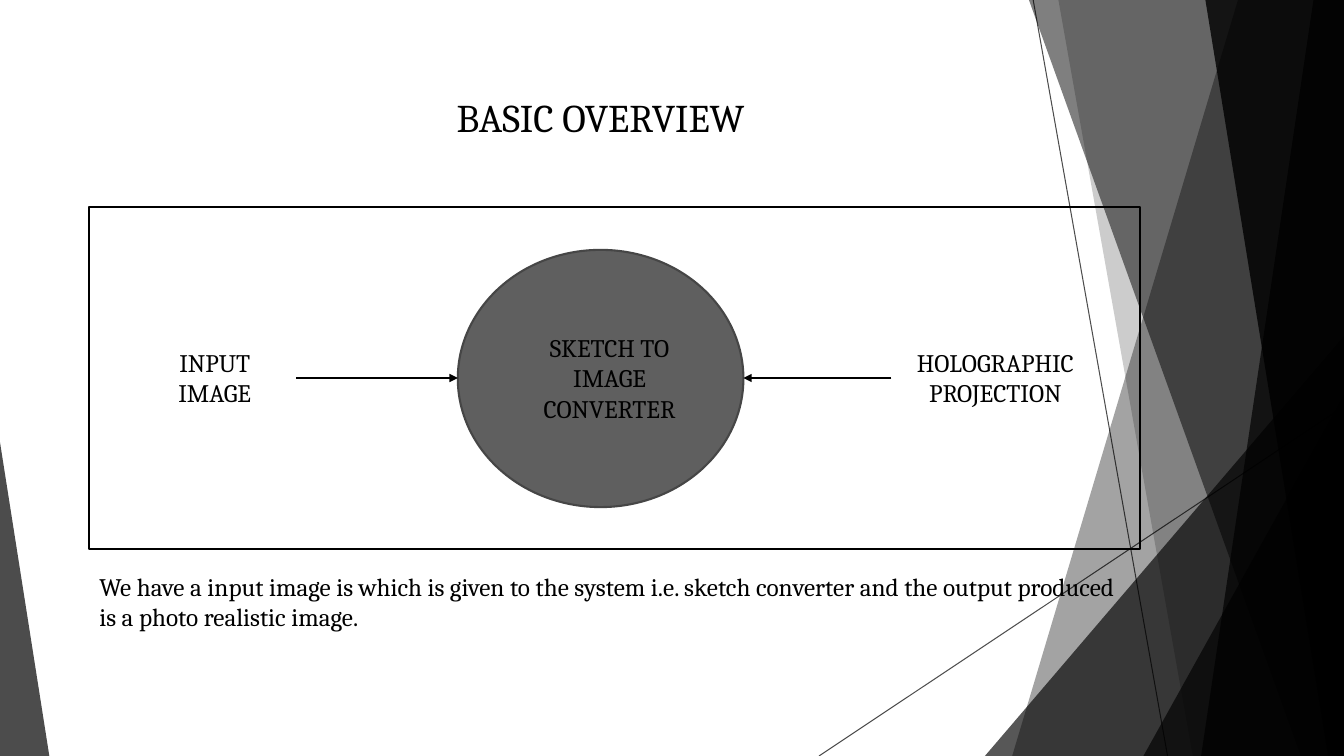
from pptx import Presentation
from pptx.dml.color import RGBColor
from pptx.enum.shapes import MSO_CONNECTOR, MSO_SHAPE
from pptx.enum.text import MSO_ANCHOR, MSO_AUTO_SIZE, PP_ALIGN
from pptx.oxml.ns import qn
from pptx.util import Pt
from lxml import etree

PX = 9525
WIDTH, HEIGHT = 1280, 720
BLACK = "000000"
FONT = "Cambria"
STRAIGHT = MSO_CONNECTOR.STRAIGHT
TRIANGLE, ELLIPSE, RECTANGLE = MSO_SHAPE.ISOSCELES_TRIANGLE, MSO_SHAPE.OVAL, MSO_SHAPE.RECTANGLE
CENTER, LEFT = PP_ALIGN.CENTER, PP_ALIGN.LEFT


def px(*lengths):
    return [round(length * PX) for length in lengths]


def paint(color_format, color, opacity=100):
    """Set a solid colour, with its opacity in percent."""
    color_format.rgb = RGBColor.from_string(color)
    if opacity < 100:
        for node in color_format._xFill.iter(qn("a:srgbClr")):
            etree.SubElement(node, qn("a:alpha")).set("val", str(opacity * 1000))


def fill_shadow(shape, opacity):
    """Make a shape a borderless translucent black facet."""
    shape.shadow.inherit = False
    shape.fill.solid()
    paint(shape.fill.fore_color, BLACK, opacity)
    shape.line.fill.background()


def add_line(page, start, end, weight, opacity=100, arrow=False):
    line = page.shapes.add_connector(STRAIGHT, *px(*start, *end))
    line.line.width = Pt(weight)
    line.line.fill.solid()
    paint(line.line.fill.fore_color, BLACK, opacity)
    if arrow:
        etree.SubElement(line.line._get_or_add_ln(), qn("a:tailEnd")).set("type", "triangle")
    etree.SubElement(line.element.spPr, qn("a:effectLst"))


def add_band(page, top_x, bottom_x, opacity):
    """Fill from a slanted left edge to the right side of the page."""
    builder = page.shapes.build_freeform(*px(top_x, 0))
    corners = [(WIDTH, 0), (WIDTH, HEIGHT), (bottom_x, HEIGHT)]
    builder.add_line_segments([px(*corner) for corner in corners])
    fill_shadow(builder.convert_to_shape(), opacity)


def add_corner(page, left, top, apex, right, opacity):
    """Add a triangle standing on the bottom edge of the page."""
    triangle = page.shapes.add_shape(TRIANGLE, *px(left, top, right - left, HEIGHT - top))
    triangle.adjustments[0] = apex
    fill_shadow(triangle, opacity)


def add_backdrop(page):
    add_line(page, (984, 0), (1112, HEIGHT), 0.75, 70)
    add_line(page, (WIDTH, 387), (780, HEIGHT), 0.75, 70)
    add_band(page, 1179, 964, 36)
    add_band(page, 1008, 1136, 20)
    add_corner(page, 938, 320, 1, WIDTH, 66)
    for top_x, bottom_x, opacity in [(980, 1239, 50), (1251, 1144, 70), (1148, 1265, 80)]:
        add_band(page, top_x, bottom_x, opacity)
    add_corner(page, 1089, 377, 1, WIDTH, 66)
    add_corner(page, 0, 421, 0, 47, 70)


def write(shape, lines, size, align):
    frame = shape.text_frame
    frame.word_wrap = True
    frame.auto_size = MSO_AUTO_SIZE.NONE
    frame.vertical_anchor = MSO_ANCHOR.TOP
    for index, line in enumerate(lines):
        para = frame.add_paragraph() if index else frame.paragraphs[0]
        para.alignment = align
        para.space_before = Pt(0)
        span = para.add_run()
        span.text = line
        span.font.name = FONT
        span.font.size = Pt(size)
        paint(span.font.color, BLACK)


def add_label(page, box, lines):
    write(page.shapes.add_textbox(*px(*box)), lines, 18, CENTER)


def add_outlined(page, kind, box, line_color, fill_color=None):
    shape = page.shapes.add_shape(kind, *px(*box))
    shape.shadow.inherit = False
    if fill_color:
        shape.fill.solid()
        paint(shape.fill.fore_color, fill_color)
    else:
        shape.fill.background()
    paint(shape.line.color, line_color)
    shape.line.width = Pt(1.5)


def add_diagram(page, left, top, width, height):
    """Place the converter with an arrow from each side inside a frame."""
    middle = top + height // 2
    circle_left, circle_width, circle_height = left + 351, 272, 245
    circle_right = circle_left + circle_width
    input_left, label_width = left + 42, 155
    projection_left = left + 764

    add_outlined(page, ELLIPSE, (circle_left, middle - circle_height // 2, circle_width, circle_height),
                 "464646", "5F5F5F")
    add_label(page, (input_left, middle - 34, label_width, 68), ["INPUT", "IMAGE"])
    add_label(page, (projection_left, middle - 34, 198, 68), ["HOLOGRAPHIC", "PROJECTION"])
    add_label(page, (left + 418, middle - 48, label_width, 97), ["SKETCH TO IMAGE CONVERTER"])
    add_line(page, (input_left + label_width, middle), (circle_left, middle), 1, arrow=True)
    add_line(page, (projection_left, middle), (circle_right, middle), 1, arrow=True)
    add_outlined(page, RECTANGLE, (left, top, width, height), BLACK)


def place_text(page, holder, box, text, size, align):
    """Move a placeholder to its box, in front of the backdrop, and fill it."""
    holder.left, holder.top, holder.width, holder.height = px(*box)
    page.shapes.element.append(holder.element)
    write(holder, [text], size, align)


def add_description(page, box):
    body = page.placeholders[1]
    place_text(page, body, box,
               "We have a input image is which is given to the system i.e. sketch converter "
               "and the output produced is a photo realistic image.", 18, LEFT)
    properties = body.text_frame.paragraphs[0]._p.get_or_add_pPr()
    properties.set("marL", "0")
    properties.set("indent", "0")
    etree.SubElement(properties, qn("a:buNone"))


def main():
    deck = Presentation()
    deck.slide_width, deck.slide_height = px(WIDTH, HEIGHT)
    page = deck.slides.add_slide(deck.slide_layouts[1])
    add_backdrop(page)
    add_diagram(page, 85, 197, 1001, 326)
    place_text(page, page.shapes.title, (203, 84, 738, 55), "BASIC OVERVIEW", 28, CENTER)
    add_description(page, (85, 539, 1001, 68))
    deck.save("out.pptx")


if __name__ == "__main__":
    main()
